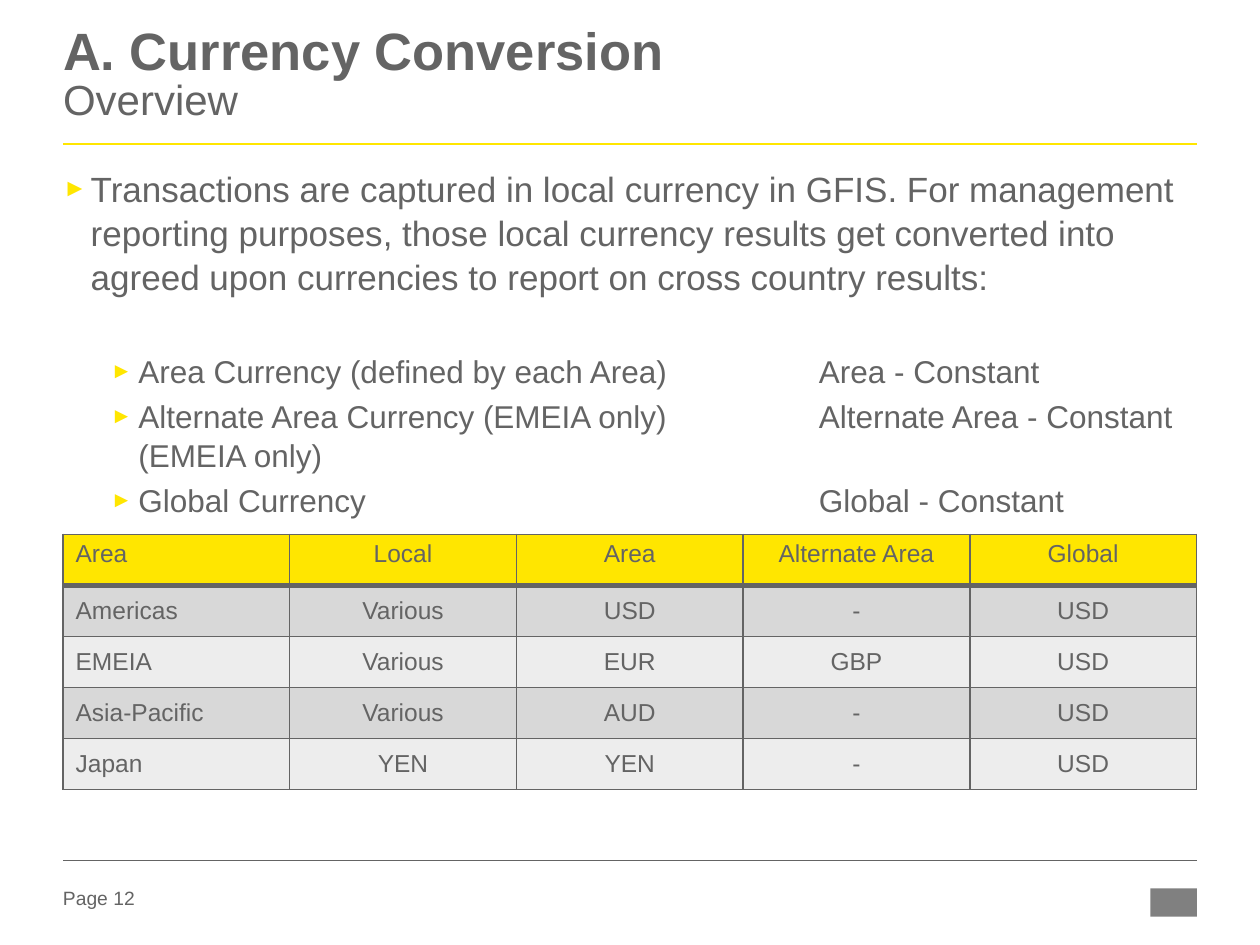
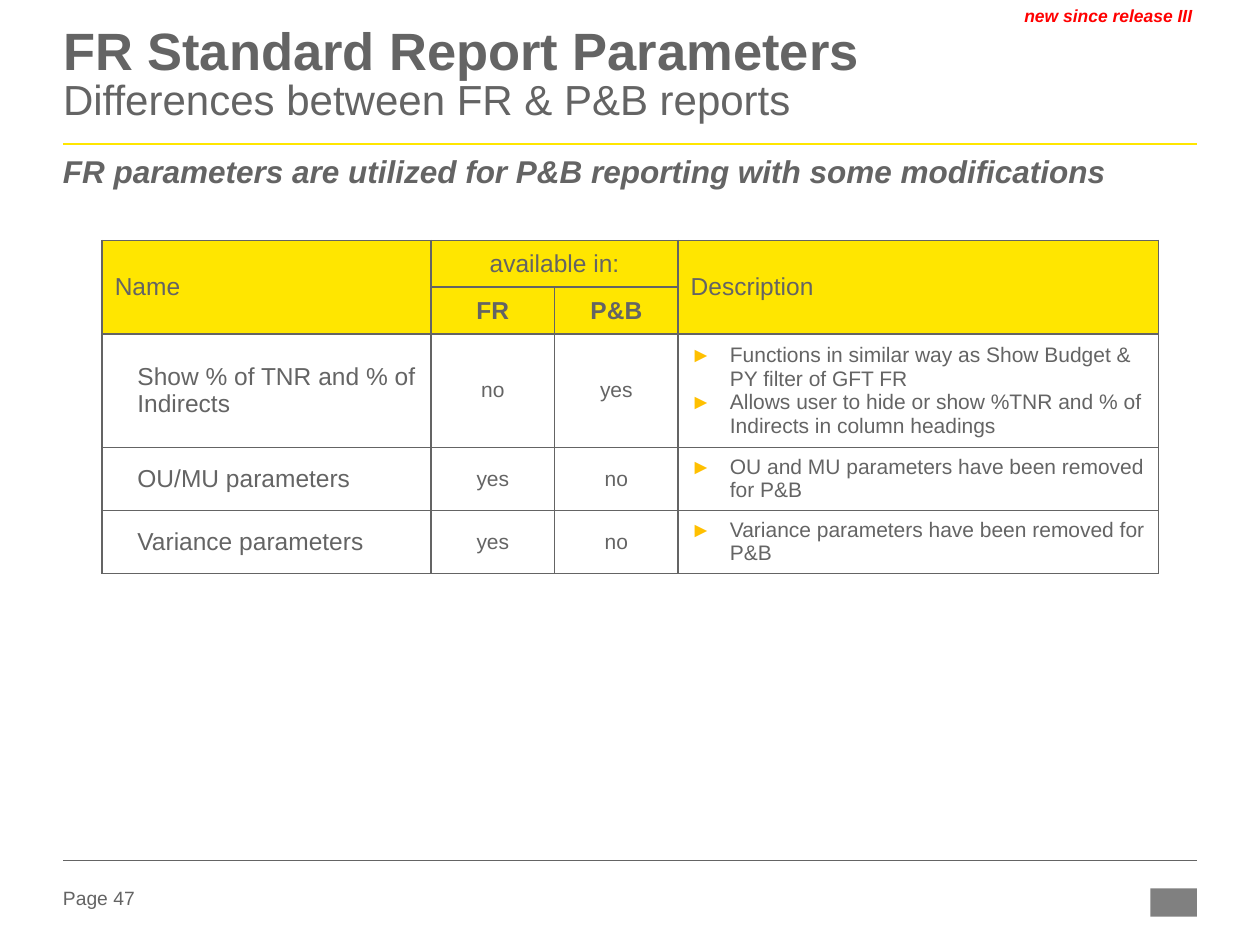
import pptx
import pptx.dml.color
import pptx.enum.shapes
import pptx.enum.text
import pptx.oxml.ns
import pptx.util
from lxml import etree

Cm = pptx.util.Cm
Pt = pptx.util.Pt
Align = pptx.enum.text.PP_ALIGN
Anchor = pptx.enum.text.MSO_ANCHOR
Fit = pptx.enum.text.MSO_AUTO_SIZE
qn = pptx.oxml.ns.qn

GREY = "646464"
GOLD = "FFE600"
AMBER = "FFC000"
FONT = "Arial"
LEFT, WIDE = 1.27, 22.86


def tint(code):
    return pptx.dml.color.RGBColor.from_string(code)


def write(para, text, size, color=GREY, bold=False, italic=False,
          dot=None, scale=100, left=0, hang=0):
    props = para._p.get_or_add_pPr()
    if left:
        props.set("marL", str(Cm(left)))
        props.set("indent", str(-Cm(hang)))
    if dot:
        shade = etree.SubElement(props, qn("a:buClr"))
        etree.SubElement(shade, qn("a:srgbClr"), val=dot)
        etree.SubElement(props, qn("a:buSzPct"), val=str(scale * 1000))
        etree.SubElement(props, qn("a:buFont"), typeface=FONT)
        etree.SubElement(props, qn("a:buChar"), char="►")
    run = para.add_run()
    run.text = text
    run.font.name = FONT
    run.font.size = Pt(size)
    run.font.bold = bold
    run.font.italic = italic
    run.font.color.rgb = tint(color)


deck = pptx.Presentation()
deck.slide_width = Cm(25.4)
deck.slide_height = Cm(19.05)

heads = [
    ("A. Currency Conversion", "Overview", "Page 12"),
    ("FR Standard Report Parameters", "Differences between FR & P&B reports", "Page 47"),
]
slides = []
for main, sub, page in heads:
    slide = deck.slides.add_slide(deck.slide_layouts[5])
    slides.append(slide)

    title = slide.shapes.title
    title.left, title.top = Cm(LEFT), Cm(0.56)
    title.width, title.height = Cm(WIDE), Cm(2.39)
    frame = title.text_frame
    frame.auto_size = Fit.NONE
    frame.vertical_anchor = Anchor.TOP
    para = frame.paragraphs[0]
    para.alignment = Align.LEFT
    para.line_spacing = 0.85
    write(para, main, 30, bold=True)
    para.add_line_break()
    write(para, sub, 24)

    for top, color, weight in [(2.9, GOLD, 1.5), (17.35, GREY, 0.25)]:
        rule = slide.shapes.add_connector(
            pptx.enum.shapes.MSO_CONNECTOR.STRAIGHT,
            Cm(LEFT), Cm(top), Cm(LEFT + WIDE), Cm(top))
        rule.line.color.rgb = tint(color)
        rule.line.width = Pt(weight)
        etree.SubElement(rule._element.spPr, qn("a:effectLst"))

    foot = slide.shapes.add_textbox(Cm(LEFT), Cm(17.81), Cm(2), Cm(0.56))
    foot.text_frame.vertical_anchor = Anchor.MIDDLE
    write(foot.text_frame.paragraphs[0], page, 11)

    mark = slide.shapes.add_shape(
        pptx.enum.shapes.MSO_SHAPE.RECTANGLE, Cm(23.19), Cm(17.91), Cm(0.94), Cm(0.57))
    mark.shadow.inherit = False
    mark.fill.solid()
    mark.fill.fore_color.rgb = tint("808080")
    mark.line.fill.background()

first, second = slides

body = first.shapes.add_textbox(Cm(LEFT), Cm(3.33), Cm(23.29), Cm(9.6))
points = [
    ("Transactions are captured in local currency in GFIS. For management reporting "
     "purposes, those local currency results get converted into agreed upon currencies "
     "to report on cross country results:", 20, 0.56, 0),
    ("Area Currency (defined by each Area)\tArea - Constant", 18, 1.52, 30),
    ("Alternate Area Currency (EMEIA only)\tAlternate Area - Constant (EMEIA only)", 18, 1.52, 3),
    ("Global Currency\tGlobal - Constant", 18, 1.52, 3),
]
for n, (text, size, left, gap) in enumerate(points):
    frame = body.text_frame
    para = frame.add_paragraph() if n else frame.paragraphs[0]
    write(para, text, size, dot=GOLD, scale=70, left=left, hang=0.56)
    para.line_spacing = 1.05
    if n:
        para.space_before = Pt(gap)
        tabs = etree.SubElement(para._p.pPr, qn("a:tabLst"))
        etree.SubElement(tabs, qn("a:tab"), pos=str(Cm(15.24)), algn="l")

lead = second.shapes.add_textbox(Cm(LEFT), Cm(3.02), Cm(WIDE), Cm(1.47))
para = lead.text_frame.paragraphs[0]
para.line_spacing = 1.05
write(para, "FR parameters are utilized for P&B reporting with some modifications",
      18, bold=True, italic=True)

note = second.shapes.add_textbox(Cm(20.62), Cm(0.1), Cm(3.51), Cm(0.43))
para = note.text_frame.paragraphs[0]
para.alignment = Align.RIGHT
write(para, "new since release III", 10, "FF0000", bold=True, italic=True)

for slide in slides:
    for shape in slide.shapes:
        if shape.has_text_frame:
            frame = shape.text_frame
            frame.word_wrap = shape.shape_id != note.shape_id
            frame.margin_left = frame.margin_right = 0
            frame.margin_top = frame.margin_bottom = 0
note.text_frame.margin_right = Cm(0.1)

rates = [
    ["Area", "Local", "Area", "Alternate Area", "Global"],
    ["Americas", "Various", "USD", "-", "USD"],
    ["EMEIA", "Various", "EUR", "GBP", "USD"],
    ["Asia-Pacific", "Various", "AUD", "-", "USD"],
    ["Japan", "YEN", "YEN", "-", "USD"],
]
params = [
    ["Name", "available in:", "", "Description"],
    ["", "FR", "P&B", ""],
    ["Show % of TNR and % of Indirects", "no", "yes",
     ["Functions in similar way as Show Budget & PY filter of GFT FR",
      "Allows user to hide or show %TNR and % of Indirects in column headings"]],
    ["OU/MU parameters", "yes", "no", ["OU and MU parameters have been removed for P&B"]],
    ["Variance parameters", "yes", "no", ["Variance parameters have been removed for P&B"]],
]
grids = [
    (first, rates, 1.27, 10.77, [4.57] * 5, [1.03] * 5, 1, ["EDEDED", "D8D8D8"], 3, 1),
    (second, params, 2.06, 4.85, [6.63, 2.49, 2.49, 9.68],
     [0.94, 0.94, 2.28, 1.27, 1.27], 2, ["FFFFFF", "FFFFFF"], 1.5, 1.5),
]
for slide, rows, left, top, widths, heights, head, bands, below, above in grids:
    table = slide.shapes.add_table(
        len(rows), len(widths), Cm(left), Cm(top), Cm(sum(widths)), Cm(sum(heights))).table
    table.first_row = table.horz_banding = False
    for column, width in zip(table.columns, widths):
        column.width = Cm(width)
    for row, height in zip(table.rows, heights):
        row.height = Cm(height)
    if slide is second:
        table.cell(0, 0).merge(table.cell(1, 0))
        table.cell(0, 1).merge(table.cell(0, 2))
        table.cell(0, 3).merge(table.cell(1, 3))

    for r, row in enumerate(rows):
        for c, value in enumerate(row):
            cell = table.cell(r, c)
            props = cell._tc.get_or_add_tcPr()
            ends = r + cell.span_height == head
            edges = {"L": 1, "R": 1, "T": above if r == head else 1, "B": below if ends else 1}
            for side, weight in edges.items():
                edge = etree.SubElement(props, qn("a:ln" + side), w=str(Pt(weight)))
                fill = etree.SubElement(edge, qn("a:solidFill"))
                etree.SubElement(fill, qn("a:srgbClr"), val=GREY)
            cell.fill.solid()
            cell.fill.fore_color.rgb = tint(GOLD if r < head else bands[r % 2])
            if slide is second or r:
                cell.vertical_anchor = Anchor.MIDDLE
            if not value:
                continue
            para = cell.text_frame.paragraphs[0]
            if isinstance(value, list):
                for n, text in enumerate(value):
                    para = cell.text_frame.add_paragraph() if n else para
                    write(para, text, 12, dot=AMBER, left=0.79, hang=0.79)
                continue
            inset = slide is second and r >= head and c == 0
            if inset:
                cell.margin_left = Cm(0.23)
                cell.margin_right = cell.margin_top = cell.margin_bottom = 0
            if c and value != "Description":
                para.alignment = Align.CENTER
            small = slide is second and r >= head and c
            write(para, value, 12 if small else 14, bold=slide is second and r == 1,
                  left=0.48 if inset else 0)

deck.save("out.pptx")
